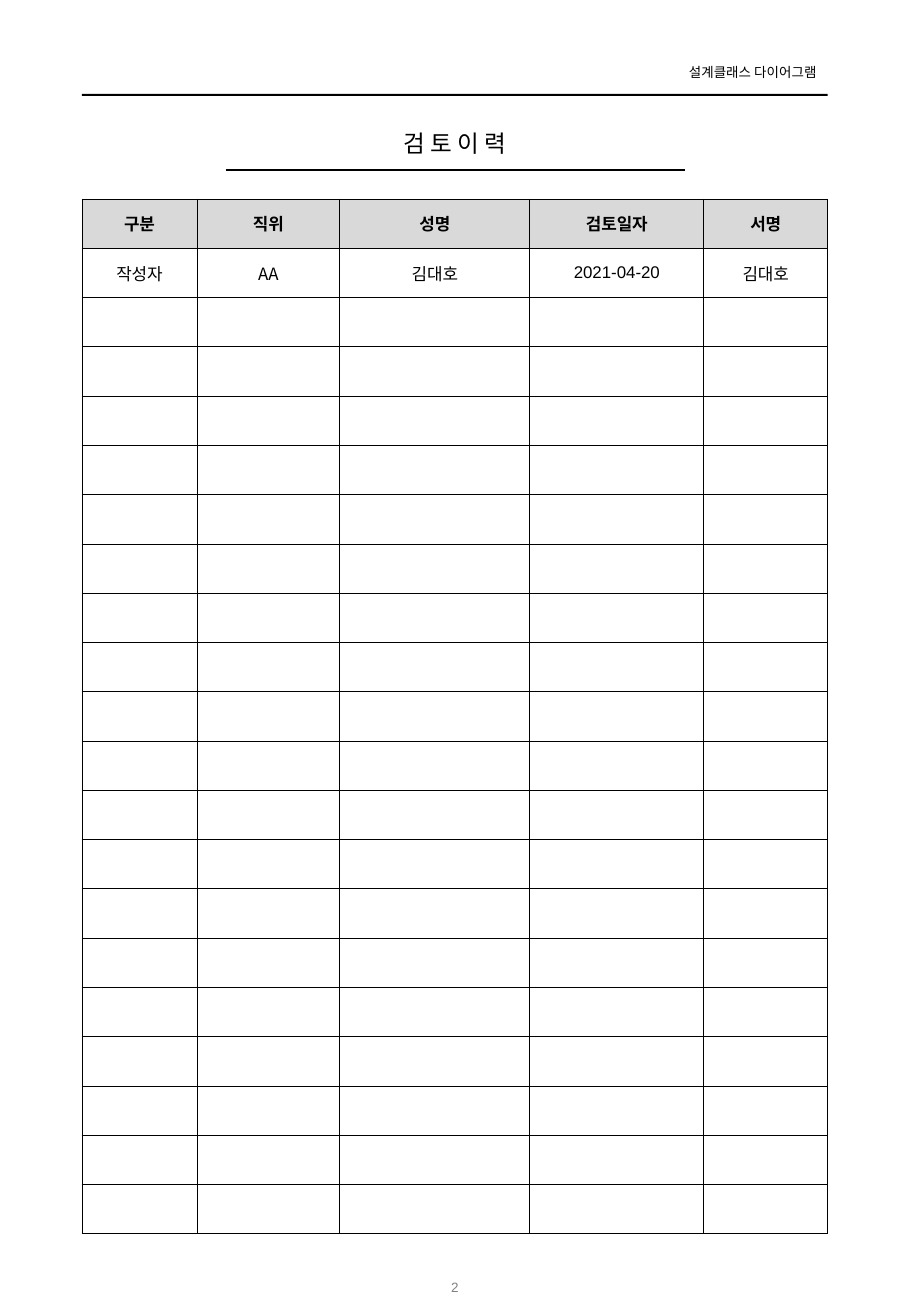
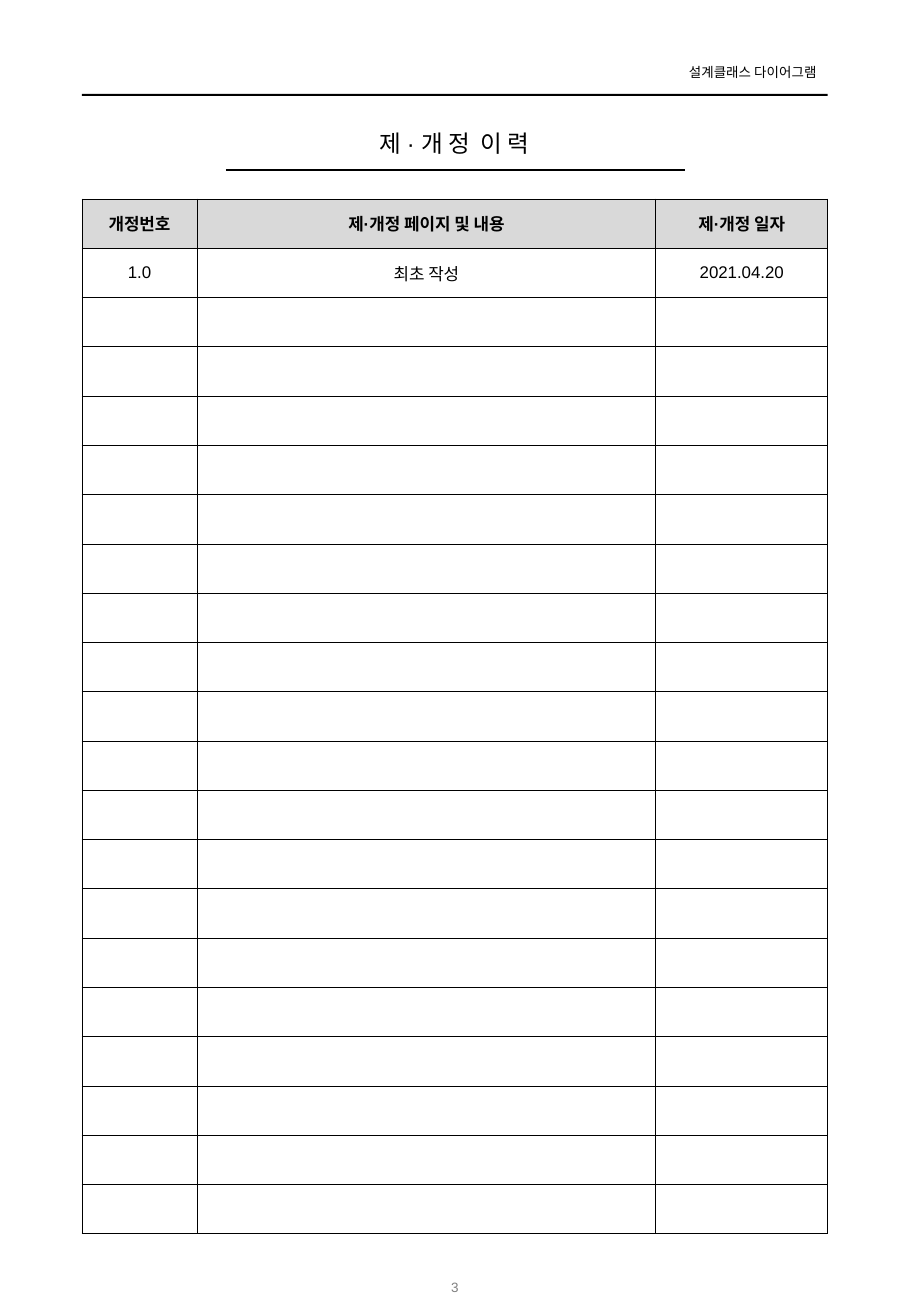
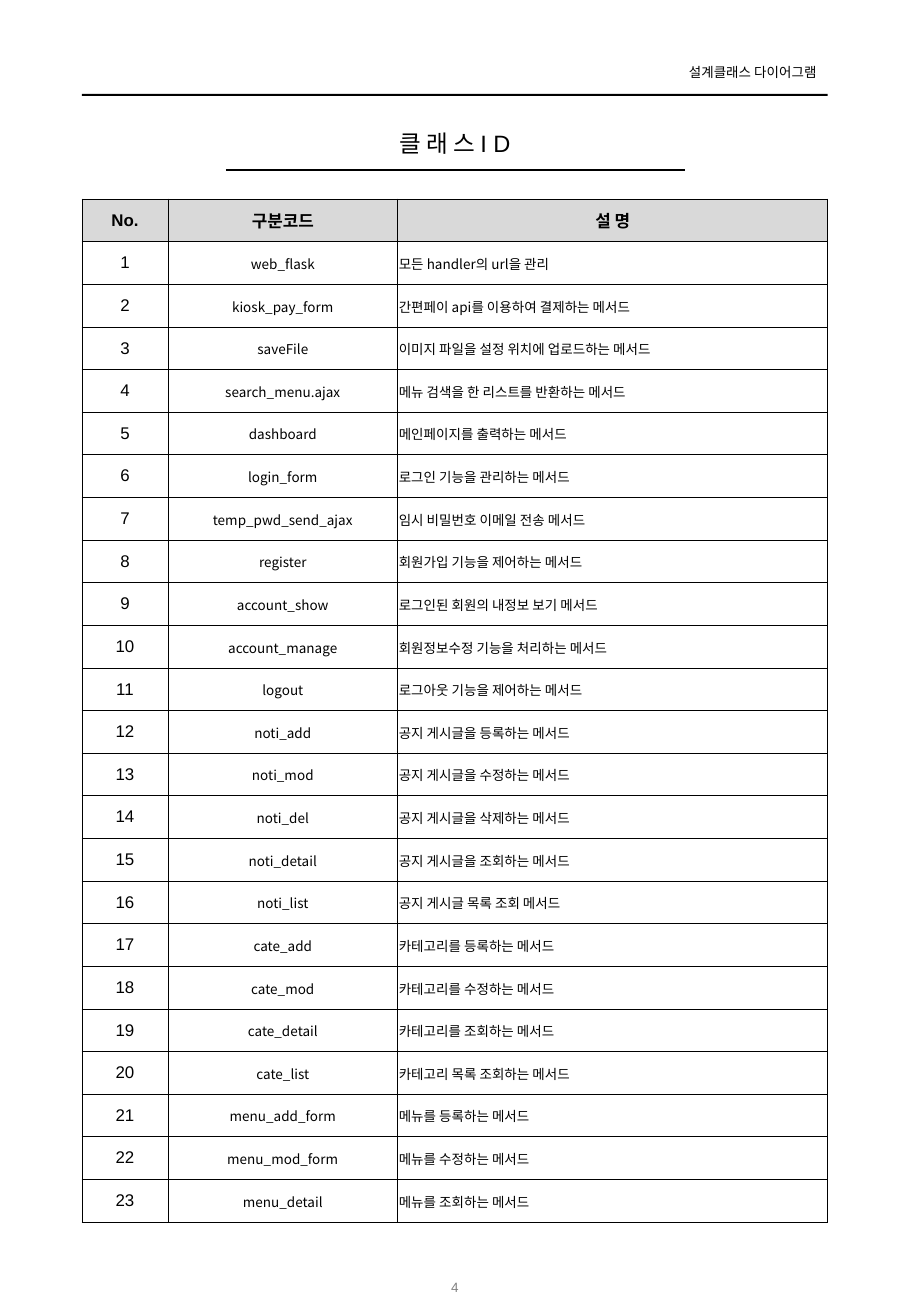
from dataclasses import dataclass

from lxml.etree import SubElement
from pptx import Presentation
from pptx.dml.color import RGBColor
from pptx.enum.shapes import MSO_CONNECTOR, MSO_SHAPE
from pptx.enum.text import MSO_ANCHOR as Anchor, MSO_AUTO_SIZE as AutoSize, PP_ALIGN as Align
from pptx.oxml.ns import qn
from pptx.util import Inches, Pt

PIXELS_PER_INCH = 121.5


@dataclass(frozen=True)
class Theme:
    """Colours, fonts and type sizes of the whole document."""
    ink: RGBColor = RGBColor(0, 0, 0)
    muted: RGBColor = RGBColor(0x80, 0x80, 0x80)
    header_fill: RGBColor = RGBColor(0xD9, 0xD9, 0xD9)
    latin: str = "Arial"
    korean: str = "Noto Sans CJK KR"
    title_size: float = 14
    table_size: float = 10
    small_size: float = 8
    rule_width: float = 1
    border_width: float = 0.5


THEME = Theme()


@dataclass(frozen=True)
class Column:
    """Width and body style of one table column; margin None keeps the default."""
    width: int
    font: str = THEME.latin
    size: float = THEME.table_size
    align: Align = Align.CENTER
    margin: int | None = None


LEFT, CONTENT_WIDTH = 82, 746
TABLE_TOP = 199
FIRST_PAGE = 2
DOCUMENT_NAME = "설계클래스 다이어그램"

REVIEW_COLUMNS = [Column(115), Column(143, THEME.korean), Column(190, THEME.korean),
                  Column(174), Column(124)]
REVIEW_ROWS = [["구분", "직위", "성명", "검토일자", "서명"],
               ["작성자", "AA", "김대호", "2021-04-20", "김대호"]]

REVISION_COLUMNS = [Column(115), Column(459), Column(172)]
REVISION_ROWS = [["개정번호", "제·개정 페이지 및 내용", "제·개정 일자"],
                 ["1.0", "최초 작성", "2021.04.20"]]

CLASS_COLUMNS = [Column(86),
                 Column(230, THEME.korean, THEME.small_size, margin=1),
                 Column(430, THEME.korean, THEME.small_size, Align.LEFT, 1)]
CLASS_HEADER = ["No.", "구분코드", "설 명"]
CLASSES = [
    ("web_flask", "모든 handler의 url을 관리"),
    ("kiosk_pay_form", "간편페이 api를 이용하여 결제하는 메서드"),
    ("saveFile", "이미지 파일을 설정 위치에 업로드하는 메서드"),
    ("search_menu.ajax", "메뉴 검색을 한 리스트를 반환하는 메서드"),
    ("dashboard", "메인페이지를 출력하는 메서드"),
    ("login_form", "로그인 기능을 관리하는 메서드"),
    ("temp_pwd_send_ajax", "임시 비밀번호 이메일 전송 메서드"),
    ("register", "회원가입 기능을 제어하는 메서드"),
    ("account_show", "로그인된 회원의 내정보 보기 메서드"),
    ("account_manage", "회원정보수정 기능을 처리하는 메서드"),
    ("logout", "로그아웃 기능을 제어하는 메서드"),
    ("noti_add", "공지 게시글을 등록하는 메서드"),
    ("noti_mod", "공지 게시글을 수정하는 메서드"),
    ("noti_del", "공지 게시글을 삭제하는 메서드"),
    ("noti_detail", "공지 게시글을 조회하는 메서드"),
    ("noti_list", "공지 게시글 목록 조회 메서드"),
    ("cate_add", "카테고리를 등록하는 메서드"),
    ("cate_mod", "카테고리를 수정하는 메서드"),
    ("cate_detail", "카테고리를 조회하는 메서드"),
    ("cate_list", "카테고리 목록 조회하는 메서드"),
    ("menu_add_form", "메뉴를 등록하는 메서드"),
    ("menu_mod_form", "메뉴를 수정하는 메서드"),
    ("menu_detail", "메뉴를 조회하는 메서드"),
]
CLASS_ROWS = [CLASS_HEADER] + [[str(number), code, meaning]
                               for number, (code, meaning) in enumerate(CLASSES, 1)]

# Title, columns, filled rows, total row count, table height
PAGES = [
    ("검 토 이 력", REVIEW_COLUMNS, REVIEW_ROWS, 21, 1035),
    ("제 · 개 정  이 력", REVISION_COLUMNS, REVISION_ROWS, 21, 1035),
    ("클 래 스 I D", CLASS_COLUMNS, CLASS_ROWS, len(CLASS_ROWS), 1023),
]


def px(*lengths):
    """Turn pixel lengths into EMU, one value or a list."""
    values = [Inches(length / PIXELS_PER_INCH) for length in lengths]
    return values[0] if len(values) == 1 else values


def write(frame, text, size, font=THEME.latin, color=THEME.ink, align=Align.CENTER, bold=False):
    """Put one formatted line of text into a text frame."""
    frame.text = text
    para = frame.paragraphs[0]
    para.alignment = align
    for span in para.runs:
        span.font.size, span.font.bold = Pt(size), bold
        span.font.color.rgb = color
        span.font.name = font
        SubElement(span.font.fill._xPr, qn("a:ea"), typeface=THEME.korean)


def set_margins(target, left, top, right, bottom):
    """Set the inner margins of a text frame or a cell, in pixels."""
    target.margin_left, target.margin_top = px(left, top)
    target.margin_right, target.margin_bottom = px(right, bottom)


def add_letterhead(slide, layout):
    """Draw the header bar, document name and title rule, and move them to the layout."""
    bar = slide.shapes.add_shape(MSO_SHAPE.RECTANGLE, *px(LEFT, 94, CONTENT_WIDTH, 2))
    bar.shadow.inherit = False
    bar.fill.solid()
    bar.fill.fore_color.rgb = THEME.ink
    bar.line.fill.background()

    name_box = slide.shapes.add_textbox(*px(664, 58, 163, 29))
    frame = name_box.text_frame
    frame.word_wrap = False
    frame.auto_size = AutoSize.SHAPE_TO_FIT_TEXT
    set_margins(frame, 12, 6, 10, 6)
    write(frame, DOCUMENT_NAME, THEME.small_size, align=Align.RIGHT)

    rule = slide.shapes.add_connector(MSO_CONNECTOR.STRAIGHT, *px(226, 170, 685, 170))
    rule.line.color.rgb = THEME.ink
    rule.line.width = Pt(THEME.rule_width)
    SubElement(rule.element.spPr, qn("a:effectLst"))

    for shape in (bar, name_box, rule):
        layout.shapes.element.append(shape.element)


def set_title(slide, text):
    """Place and fill the title placeholder."""
    title = slide.shapes.title
    title.left, title.top, title.width, title.height = px(LEFT, 123, CONTENT_WIDTH, 41)
    frame = title.text_frame
    frame.vertical_anchor = Anchor.TOP
    frame.auto_size = AutoSize.SHAPE_TO_FIT_TEXT
    set_margins(frame, 0, 6, 0, 6)
    write(frame, text, THEME.title_size)


def add_page_number(slide, number):
    """Write the page number at the foot of the page."""
    box = slide.shapes.add_textbox(*px(398, 1262, 114, 49))
    box.text_frame.word_wrap = True
    box.text_frame.vertical_anchor = Anchor.MIDDLE
    write(box.text_frame, str(number), THEME.small_size, color=THEME.muted)


def add_borders(cell):
    """Give a cell a thin line on all four sides."""
    properties = cell._tc.get_or_add_tcPr()
    for side in ("a:lnL", "a:lnR", "a:lnT", "a:lnB"):
        line = SubElement(properties, qn(side), w=str(Pt(THEME.border_width)))
        fill = SubElement(line, qn("a:solidFill"))
        SubElement(fill, qn("a:srgbClr"), val=str(THEME.ink))


def style_cell(cell, text, column, is_header):
    """Fill one table cell in the header or body style."""
    cell.vertical_anchor = Anchor.MIDDLE
    add_borders(cell)
    if is_header:
        cell.fill.solid()
        cell.fill.fore_color.rgb = THEME.header_fill
        write(cell.text_frame, text, THEME.table_size, bold=True)
        return
    cell.fill.background()
    if not text:
        set_margins(cell, 0, 0, 0, 0)
        return
    if column.margin is not None:
        set_margins(cell, column.margin, column.margin, column.margin, 0)
    write(cell.text_frame, text, column.size, column.font, align=column.align)


def add_ruled_table(slide, columns, rows, row_count, height):
    """Add a bordered table whose rows share the height; unfilled rows stay blank."""
    frame = slide.shapes.add_table(row_count, len(columns),
                                   *px(LEFT, TABLE_TOP, CONTENT_WIDTH, height))
    table = frame.table
    table.first_row = table.horz_banding = False
    for table_column, column in zip(table.columns, columns):
        table_column.width = px(column.width)
    blank = [""] * len(columns)
    padded_rows = rows + [blank] * (row_count - len(rows))
    for row_index, (table_row, texts) in enumerate(zip(table.rows, padded_rows)):
        table_row.height = px(height / row_count)
        for cell, text, column in zip(table_row.cells, texts, columns):
            style_cell(cell, text, column, row_index == 0)


def main():
    """Build the document pages and save them."""
    deck = Presentation()
    deck.slide_width, deck.slide_height = Inches(7.5), Inches(10.83)
    layout = deck.slide_layouts[0]
    subtitle = layout.placeholders[1].element
    subtitle.getparent().remove(subtitle)

    for number, (title, *table_content) in enumerate(PAGES, FIRST_PAGE):
        slide = deck.slides.add_slide(layout)
        if number == FIRST_PAGE:
            add_letterhead(slide, layout)
        set_title(slide, title)
        add_page_number(slide, number)
        add_ruled_table(slide, *table_content)
    deck.save("out.pptx")


main()
